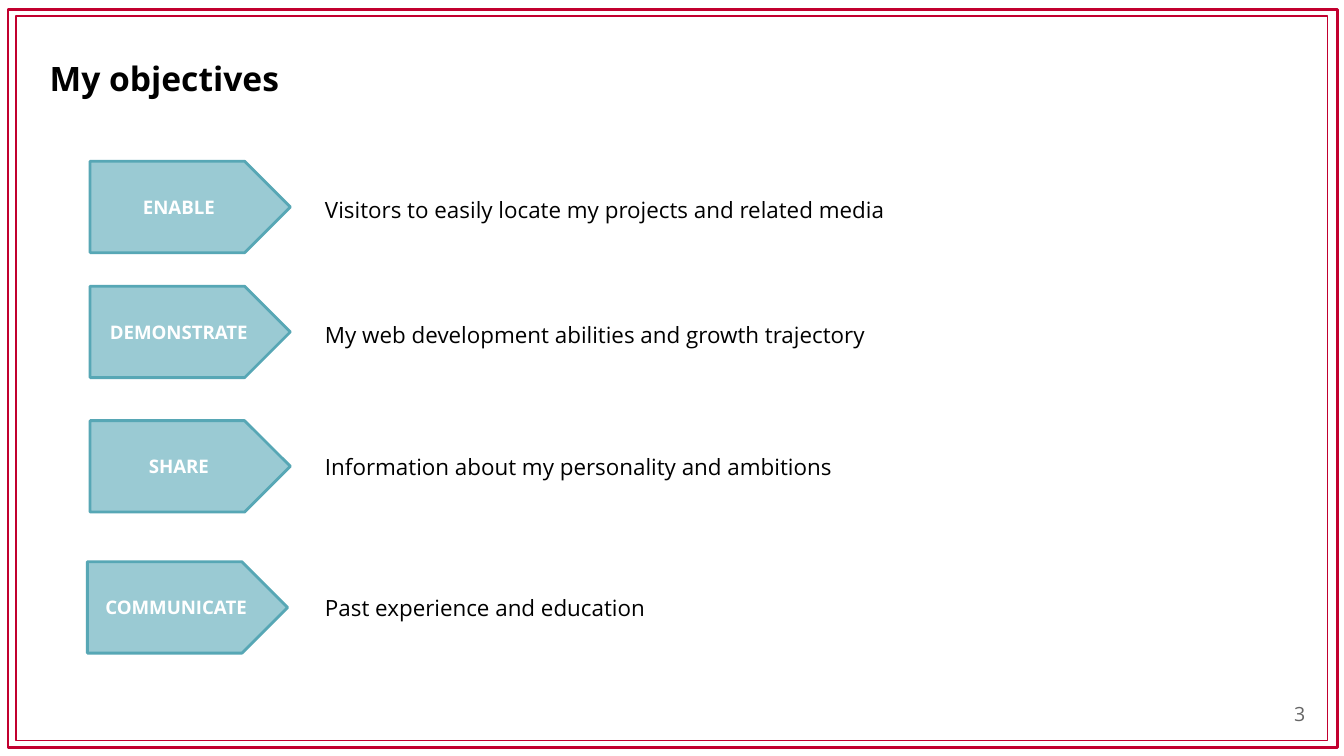
"""Build the "My objectives" slide: four labelled arrows with their descriptions."""
from pptx import Presentation
from pptx.dml.color import RGBColor
from pptx.enum.shapes import MSO_SHAPE
from pptx.enum.text import MSO_ANCHOR, PP_ALIGN
from pptx.util import Inches, Pt

RECTANGLE, PENTAGON = MSO_SHAPE.RECTANGLE, MSO_SHAPE.PENTAGON
MIDDLE = MSO_ANCHOR.MIDDLE
LEFT, CENTER, RIGHT = PP_ALIGN.LEFT, PP_ALIGN.CENTER, PP_ALIGN.RIGHT

TITLE = "My objectives"
PAGE_NUMBER = "3"
OBJECTIVES = [
    ("ENABLE", "Visitors to easily locate my projects and related media", (0.67, 1.2), 1.22),
    ("DEMONSTRATE", "My web development abilities and growth trajectory", (0.67, 2.13), 2.15),
    ("SHARE", "Information about my personality and ambitions", (0.67, 3.13), 3.13),
    ("COMMUNICATE", "Past experience and education", (0.65, 4.18), 4.18),
]
FRAMES = [((0.06, 0.07, 9.89, 5.49), 1.5), ((0.12, 0.12, 9.76, 5.39), 0.75)]
SLIDE_WIDTH = Inches(10)
SLIDE_HEIGHT = SLIDE_WIDTH * 9 // 16
ARROW_WIDTH, ROW_HEIGHT = 1.49, 0.68
DESCRIPTION_LEFT, DESCRIPTION_WIDTH = 2.32, 4.57

THEME = {
    "font": "Open Sans",
    "frame": "C2002F", "arrow": "9ACAD3", "arrow_line": "57A7B5",
    "title": (18, "000000", True),
    "label": (10, "FFFFFF", True),
    "description": (12, "000000", False),
    "page": (10.5, "666666", False),
}


def color(name):
    return RGBColor.from_string(THEME[name])


def write(holder, text, style, align=LEFT, inset=0.1):
    size, ink, bold = THEME[style]
    frame = holder.text_frame
    frame.text = text
    frame.word_wrap = True
    frame.vertical_anchor = MIDDLE
    frame.margin_left = frame.margin_right = Inches(0.1)
    frame.margin_top = frame.margin_bottom = Inches(inset)
    paragraph = frame.paragraphs[0]
    paragraph.alignment = align
    font = paragraph.font
    font.name, font.size, font.bold = THEME["font"], Pt(size), bold
    font.color.rgb = RGBColor.from_string(ink)


def add_outlined(slide, preset, box, line, width, fill=None):
    shape = slide.shapes.add_shape(preset, *map(Inches, box))
    shape.shadow.inherit = False
    if fill:
        shape.fill.solid()
        shape.fill.fore_color.rgb = color(fill)
    else:
        shape.fill.background()
    shape.line.color.rgb = color(line)
    shape.line.width = Pt(width)
    return shape


def add_text(slide, box, text, style, align=LEFT):
    write(slide.shapes.add_textbox(*map(Inches, box)), text, style, align, 0.05)


def main():
    deck = Presentation()
    deck.slide_width, deck.slide_height = SLIDE_WIDTH, SLIDE_HEIGHT
    slide = deck.slides.add_slide(deck.slide_layouts[5])

    for box, width in FRAMES:
        add_outlined(slide, RECTANGLE, box, "frame", width)

    title = slide.shapes.title
    title.left, title.top, title.width, title.height = map(Inches, (0.27, 0.23, 7.83, 0.7))
    write(title, TITLE, "title")

    for label, description, arrow_at, description_top in OBJECTIVES:
        arrow_box = (*arrow_at, ARROW_WIDTH, ROW_HEIGHT)
        arrow = add_outlined(slide, PENTAGON, arrow_box, "arrow_line", 1.5, "arrow")
        write(arrow, label, "label", CENTER, 0.05)
        description_box = (DESCRIPTION_LEFT, description_top, DESCRIPTION_WIDTH, ROW_HEIGHT)
        add_text(slide, description_box, description, "description")

    add_text(slide, (9.21, 5.16, 0.6, 0.3), PAGE_NUMBER, "page", RIGHT)
    deck.save("out.pptx")


if __name__ == "__main__":
    main()
